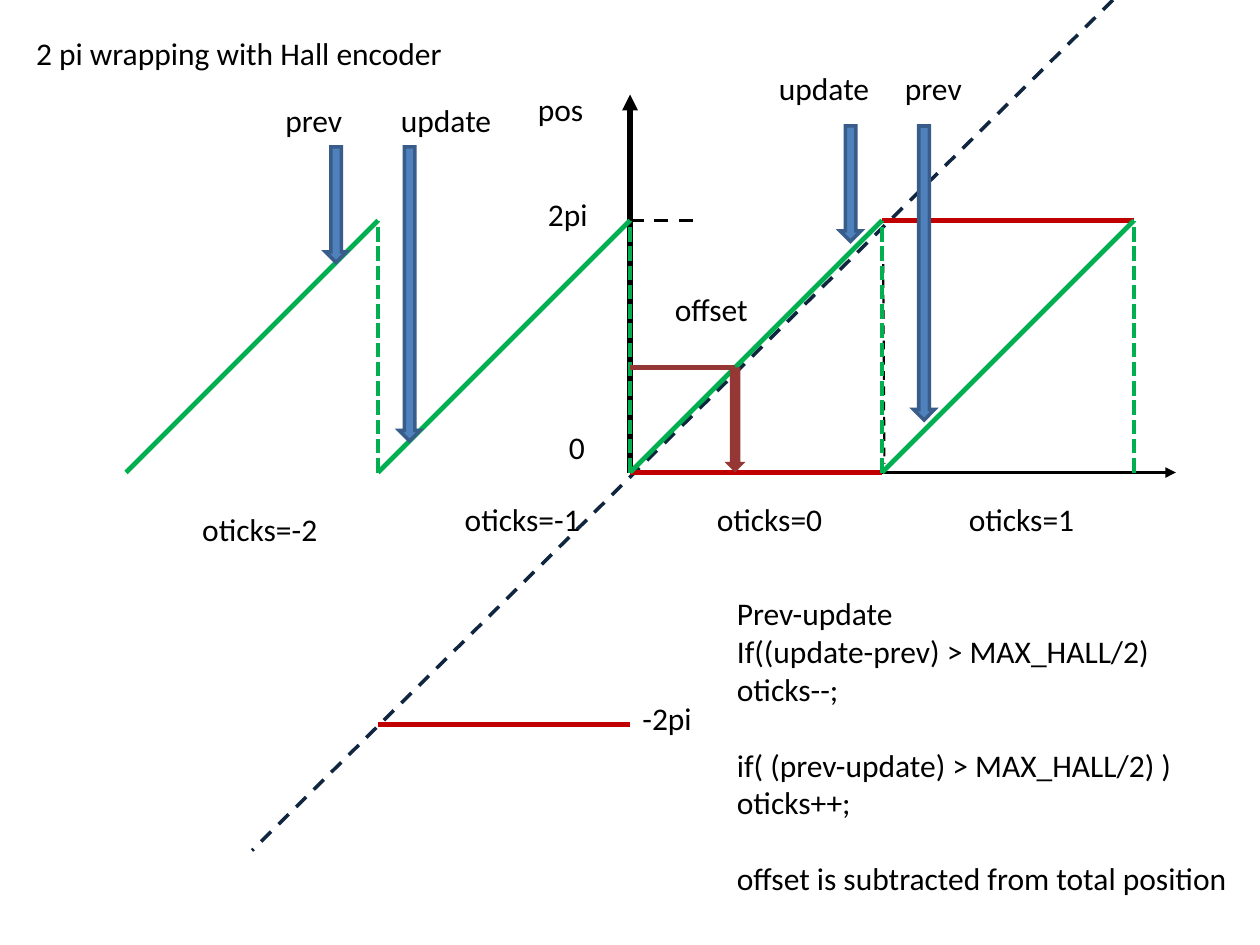
from pptx import Presentation
from pptx.dml.color import RGBColor
from pptx.enum.dml import MSO_LINE
from pptx.enum.shapes import MSO_CONNECTOR, MSO_SHAPE
from pptx.enum.text import MSO_AUTO_SIZE
from pptx.oxml.ns import qn
from pptx.util import Pt
from lxml.etree import SubElement

COLORS = {
    "black": "000000",
    "navy": "10253F",
    "red": "C00000",
    "green": "00B050",
    "blue": "4F81BD",
    "blue edge": "385D8A",
    "brown": "953735",
}
COLORS = {name: RGBColor.from_string(value) for name, value in COLORS.items()}

deck = Presentation()
deck.slide_width, deck.slide_height = Pt(720), Pt(540)
page = deck.slides.add_slide(deck.slide_layouts[6])

# The plot: origin, and one turn (2 pi) in points on both axes
ZERO_X, ZERO_Y, TURN = 360, 270, 144
TOP_Y = ZERO_Y - TURN


def add_line(x1, y1, x2, y2, color, width, dash=None, arrow=False):
    line = page.shapes.add_connector(
        MSO_CONNECTOR.STRAIGHT, Pt(x1), Pt(y1), Pt(x2), Pt(y2))
    line.line.color.rgb = COLORS[color]
    line.line.width = Pt(width)
    if dash:
        line.line.dash_style = dash
    properties = line._element.spPr
    if arrow:
        SubElement(properties.find(qn("a:ln")), qn("a:tailEnd"), type="triangle")
    SubElement(properties, qn("a:effectLst"))


def add_label(left, top, width, text, height=29, wrap=False):
    box = page.shapes.add_textbox(Pt(left), Pt(top), Pt(width), Pt(height))
    frame = box.text_frame
    frame.word_wrap = wrap
    frame.auto_size = MSO_AUTO_SIZE.SHAPE_TO_FIT_TEXT
    frame.text = text
    for para in frame.paragraphs:
        for span in para.runs:
            span.font.name = "Calibri"
            span.font.size = Pt(18)
            span.font.color.rgb = COLORS["black"]
    return frame


# Axes and guides
add_line(ZERO_X, ZERO_Y, ZERO_X, 54, "black", 3, arrow=True)
add_line(ZERO_X, ZERO_Y, 672, ZERO_Y, "black", 2, arrow=True)
add_line(396, TOP_Y, ZERO_X, TOP_Y, "black", 2, MSO_LINE.DASH)
add_line(504.7, 151, 505.4, 265, "black", 1.25, MSO_LINE.DASH)
add_line(636, 0, 144, 486, "navy", 2, MSO_LINE.DASH)

# Offset steps, one per turn
for turn, level in ((0, 0), (1, 1), (-1, -1)):
    x, y = ZERO_X + turn * TURN, ZERO_Y - level * TURN
    add_line(x, y, x + TURN, y, "red", 2.75)

# Wrapped position: a ramp and a drop for every turn
for turn in range(-2, 2):
    start = ZERO_X + turn * TURN
    end = start + TURN
    add_line(end, ZERO_Y, end, TOP_Y, "green", 2.75, MSO_LINE.SQUARE_DOT)
    add_line(start, ZERO_Y, end, TOP_Y, "green", 2.75)

# Downward arrows: centre x, top, length, fill, edge
ARROW_WIDTH = 12
for x, top, length, fill, edge in (
    (192, 84, 66, "blue", "blue edge"),
    (234, 84, 168, "blue", "blue edge"),
    (486, 72, 66, "blue", "blue edge"),
    (528, 72, 168, "blue", "blue edge"),
    (420, 210, 60, "brown", None),
):
    arrow = page.shapes.add_shape(
        MSO_SHAPE.RIGHT_ARROW, Pt(x - length / 2),
        Pt(top + (length - ARROW_WIDTH) / 2), Pt(length), Pt(ARROW_WIDTH))
    arrow.rotation = 90
    arrow.shadow.inherit = False
    arrow.fill.solid()
    arrow.fill.fore_color.rgb = COLORS[fill]
    if edge:
        arrow.line.color.rgb = COLORS[edge]
        arrow.line.width = Pt(2)
        SubElement(arrow._element.spPr.find(qn("a:ln")), qn("a:miter"), lim="800000")
    else:
        arrow.line.fill.background()
add_line(ZERO_X, 210, 420, 210, "brown", 2.75)

# Labels: left, top, width, text
for label in (
    (13.5, 16, 251, "2 pi wrapping with Hall encoder"),
    (300.25, 48, 42, "pos"),
    (306, 108, 38, "2pi"),
    (318, 241, 24, "0"),
    (360, 396, 43, "-2pi"),
    (378.5, 162, 57, "offset"),
    (156, 54, 48, "prev"),
    (222, 54, 67, "update"),
    (438, 36, 67, "update"),
    (510, 36, 48, "prev"),
    (108.5, 288, 81, "oticks=-2"),
    (258.5, 282, 81, "oticks=-1"),
    (402.5, 282, 76, "oticks=0"),
    (546.5, 282, 76, "oticks=1"),
):
    add_label(*label)

rules = add_label(414, 336, 306, "\n".join((
    "Prev-update",
    "If((update-prev) > MAX_HALL/2)",
    "oticks--;",
    "if( (prev-update) > MAX_HALL/2) ) oticks++;",
    "offset is subtracted from total position",
)), height=180, wrap=True)
for para in rules.paragraphs[3:]:
    para.space_before = Pt(21.75)

deck.save("out.pptx")
